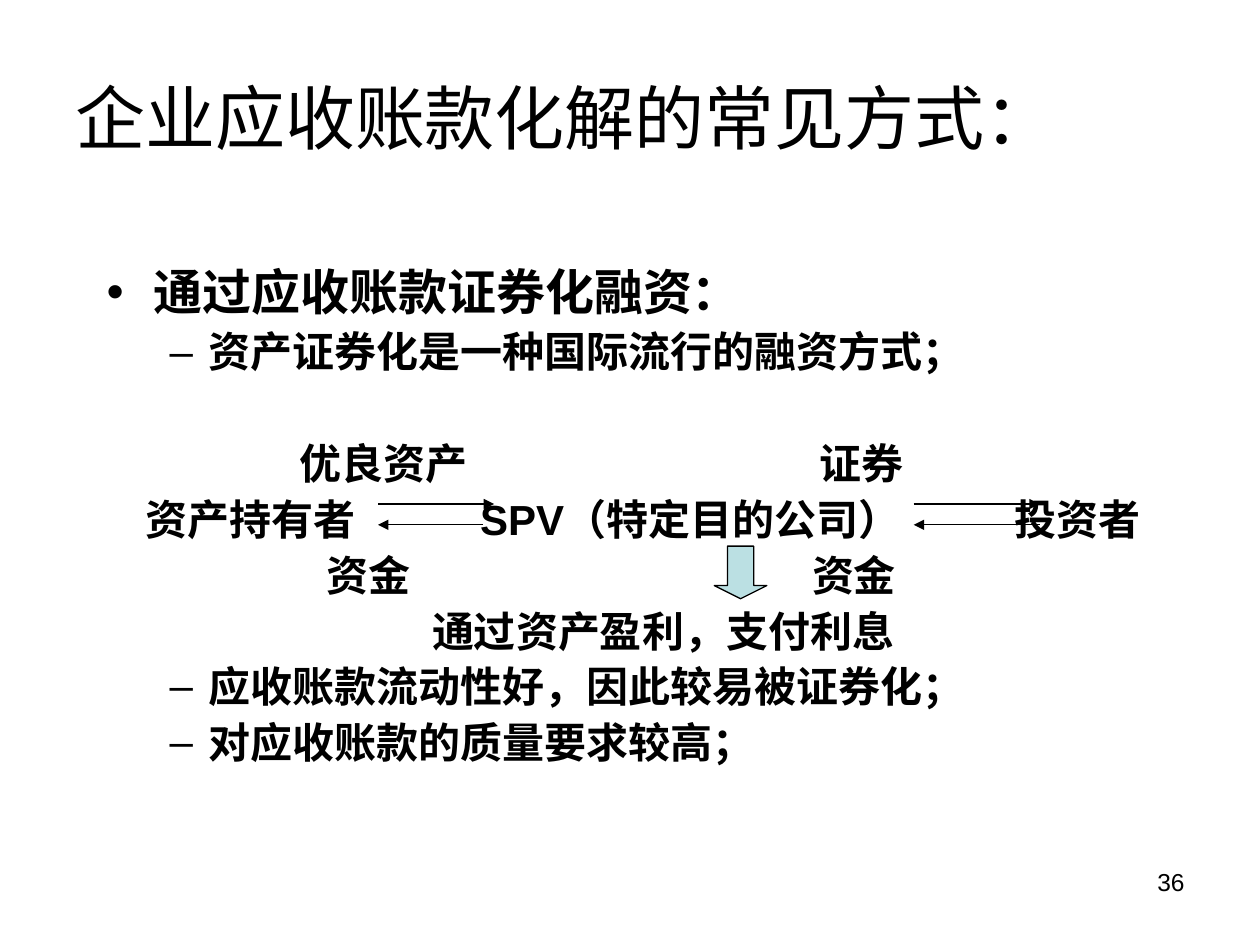
from dataclasses import dataclass

from lxml import etree
from pptx import Presentation, util as u
from pptx.dml.color import RGBColor
from pptx.enum import shapes, text
from pptx.oxml import ns


@dataclass(frozen=True)
class Theme:
    """Colours, font and type sizes of the slide."""
    font: str = "Arial"
    ink: RGBColor = RGBColor(0, 0, 0)
    accent: RGBColor = RGBColor(0xBB, 0xE0, 0xE3)
    title: int = 40
    lead: int = 28
    point: int = 24
    number: int = 14
    line: float = 0.75


THEME = Theme()
TITLE = "企业应收账款化解的常见方式："
PAGE_NUMBER = "36"
LEVELS = [("•", 0.95, 0.95, THEME.lead), ("–", 2.06, 0.79, THEME.point)]
ROW_PITCH = 1.125
FLOW_ROWS = [
    [("优良资产", 6.03), ("证券", 16.53)],
    [("资产持有者", 2.94), ("SPV（特定目的公司）", 9.68), ("投资者", 20.46)],
    [("资金", 6.59), ("资金", 16.37)],
    [("通过资产盈利，支付利息", 8.71)],
]
FLOW_MIDDLE = 9.33
POINT_GAP = 6
FLOW_GAP = POINT_GAP + u.Cm(ROW_PITCH * (len(FLOW_ROWS) + 1)).pt
POINTS = [
    (0, "通过应收账款证券化融资：", 0),
    (1, "资产证券化是一种国际流行的融资方式；", POINT_GAP),
    (1, "应收账款流动性好，因此较易被证券化；", FLOW_GAP),
    (1, "对应收账款的质量要求较高；", POINT_GAP),
]
EXCHANGES = [
    (7.62, 9.96, 10.16),
    (9.74, 7.62, 10.58),
    (18.42, 20.96, 10.16),
    (20.96, 18.42, 10.58),
]
PAYOUT_ARROW = (14.4, 11.01, 1.06, 1.06)


def style(paragraph, size, bold=False):
    """Give a paragraph the slide's font."""
    font = paragraph.font
    font.name, font.size, font.bold = THEME.font, u.Pt(size), bold
    font.color.rgb = THEME.ink


def add_text(slide, box, words="", size=THEME.point, bold=False, inset=0.25):
    """Add a wrapping text box and return its frame."""
    frame = slide.shapes.add_textbox(*map(u.Cm, box)).text_frame
    frame.word_wrap = True
    frame.margin_left = frame.margin_right = u.Cm(inset)
    frame.margin_top = frame.margin_bottom = u.Cm(inset / 2)
    frame.vertical_anchor = text.MSO_ANCHOR.MIDDLE
    frame.text = words
    style(frame.paragraphs[0], size, bold)
    return frame


def add_points(slide):
    """Add the bulleted points, leaving room for the flow."""
    frame = add_text(slide, (1.9, 5.28, 22.86, 11.63))
    frame.vertical_anchor = text.MSO_ANCHOR.TOP
    frame.text = "\n".join(words for _, words, _ in POINTS)
    for paragraph, (level, _, gap) in zip(frame.paragraphs, POINTS):
        mark, margin, hang, size = LEVELS[level]
        paragraph.level = level
        paragraph.line_spacing = 0.9
        paragraph.space_before = u.Pt(gap)
        properties = paragraph._p.get_or_add_pPr()
        properties.set("marL", str(u.Cm(margin)))
        properties.set("indent", str(-u.Cm(hang)))
        etree.SubElement(properties, ns.qn("a:buFont"), typeface=THEME.font)
        etree.SubElement(properties, ns.qn("a:buChar"), char=mark)
        style(paragraph, size, bold=True)


def add_flow(slide):
    """Add the flow labels and the arrows between them."""
    for row, labels in enumerate(FLOW_ROWS):
        top = FLOW_MIDDLE + (row - 0.5) * ROW_PITCH
        for words, left in labels:
            width = len(words) * 0.85 + 0.3
            add_text(slide, (left, top, width, ROW_PITCH), words, bold=True, inset=0)
    for start, end, height in EXCHANGES:
        exchange = slide.shapes.add_connector(
            shapes.MSO_CONNECTOR.STRAIGHT, *map(u.Cm, (start, height, end, height)))
        exchange.line.color.rgb = THEME.ink
        exchange.line.width = u.Pt(THEME.line)
        etree.SubElement(exchange.line._get_or_add_ln(), ns.qn("a:tailEnd"), type="triangle")
        etree.SubElement(exchange._element.spPr, ns.qn("a:effectLst"))
    payout = slide.shapes.add_shape(shapes.MSO_SHAPE.DOWN_ARROW, *map(u.Cm, PAYOUT_ARROW))
    payout.adjustments[0], payout.adjustments[1] = 0.5, 0.25
    payout.shadow.inherit = False
    payout.fill.solid()
    payout.fill.fore_color.rgb = THEME.accent
    payout.line.color.rgb = THEME.ink
    payout.line.width = u.Pt(THEME.line)


def main():
    """Build and save the slide."""
    deck = Presentation()
    deck.slide_width, deck.slide_height = u.Cm(25.4), u.Cm(19.05)
    slide = deck.slides.add_slide(deck.slide_layouts[6])
    number = add_text(slide, (18.21, 17.35, 5.92, 1.32), PAGE_NUMBER, THEME.number)
    number.vertical_anchor = text.MSO_ANCHOR.TOP
    number.paragraphs[0].alignment = text.PP_ALIGN.RIGHT
    add_text(slide, (1.27, 1.57, 22.86, 1.55), TITLE, THEME.title)
    add_points(slide)
    add_flow(slide)
    deck.save("out.pptx")


if __name__ == "__main__":
    main()
